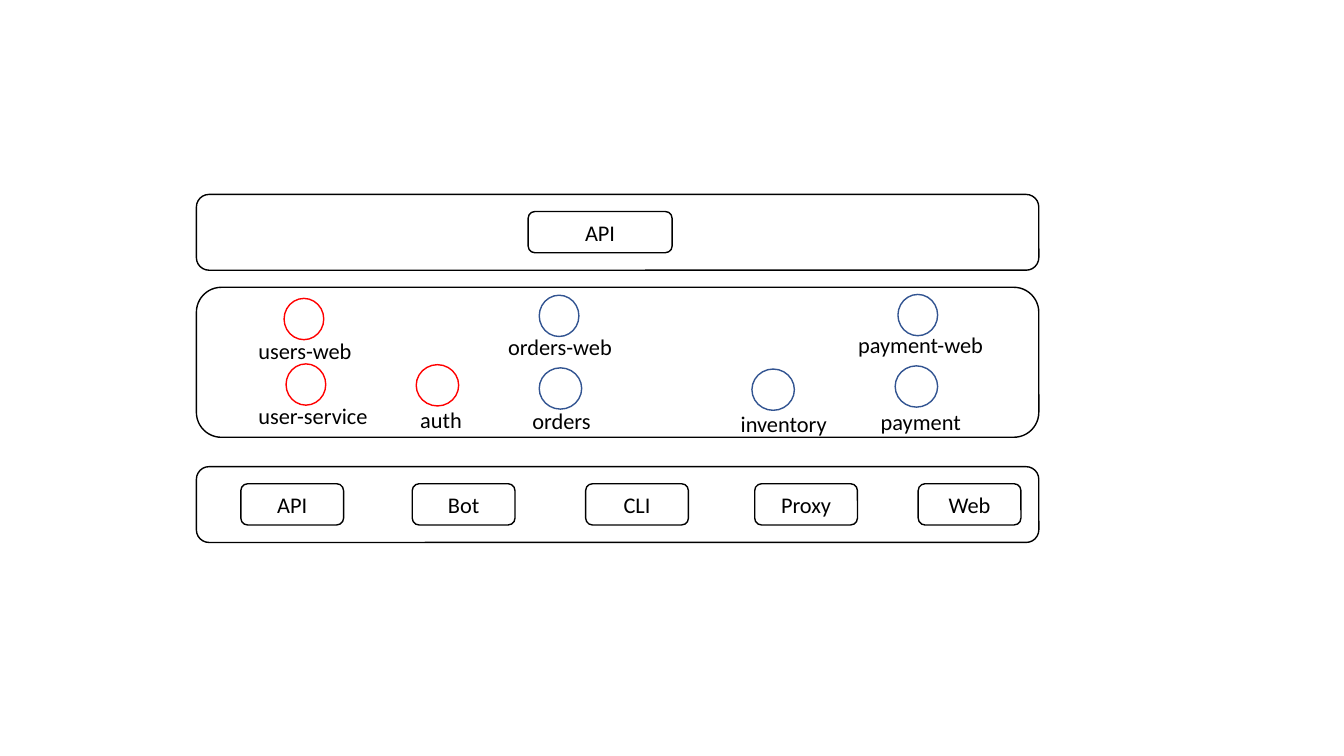
from dataclasses import dataclass

from pptx import Presentation
from pptx.dml.color import RGBColor
from pptx.enum import shapes, text
from pptx.util import Cm, Pt


@dataclass(frozen=True)
class Theme:
    """Colours, font and sizes of the slide."""
    white: RGBColor = RGBColor(0xFF, 0xFF, 0xFF)
    black: RGBColor = RGBColor(0, 0, 0)
    red: RGBColor = RGBColor(0xFF, 0, 0)
    blue: RGBColor = RGBColor(0x32, 0x54, 0x91)
    font: str = "Calibri"
    size: Pt = Pt(16)
    line: Pt = Pt(1)


THEME = Theme()
ROUNDED = shapes.MSO_SHAPE.ROUNDED_RECTANGLE
LAYER_LEFT, LAYER_WIDTH = 4.95, 21.23
BOX_HEIGHT, BOX_INSET = 1.04, 0.43
GATEWAY_TOP, SERVICES_TOP, CLIENTS_TOP = 4.9, 7.24, 11.76
CLIENTS = [("API", 6.07), ("Bot", 10.39), ("CLI", 14.76), ("Proxy", 19.02), ("Web", 23.14)]
WEB_DIAMETER, CORE_DIAMETER = 1.0, 1.07

# Name, colour, circle (left, top, width), label (left, top, width)
SERVICES = [
    ("users-web", THEME.red, (7.16, 7.52, WEB_DIAMETER), (6.07, 8.36, 3.23)),
    ("user-service", THEME.red, (7.21, 9.17, WEB_DIAMETER), (5.87, 10.01, 4.04)),
    ("auth", THEME.red, (10.49, 9.19, CORE_DIAMETER), (10.16, 10.11, 1.91)),
    ("orders-web", THEME.blue, (13.59, 7.44, WEB_DIAMETER), (12.5, 8.28, 3.23)),
    ("orders", THEME.blue, (13.59, 9.27, CORE_DIAMETER), (13.03, 10.13, 2.24)),
    ("inventory", THEME.blue, (18.95, 9.3, CORE_DIAMETER), (18.16, 10.21, 3.18)),
    ("payment-web", THEME.blue, (22.63, 7.42, WEB_DIAMETER), (20.85, 8.23, 4.7)),
    ("payment", THEME.blue, (22.56, 9.22, CORE_DIAMETER), (21.72, 10.16, 2.97)),
]


def write(shape, wording):
    """Put one centred line of text into a shape."""
    paragraph = shape.text_frame.paragraphs[0]
    paragraph.text = wording
    paragraph.alignment = text.PP_ALIGN.CENTER
    paragraph.font.name = THEME.font
    paragraph.font.size = THEME.size
    paragraph.font.color.rgb = THEME.black


def add_outline(slide, kind, left, top, width, height, colour=THEME.black):
    """Draw a white preset shape with a thin coloured outline."""
    shape = slide.shapes.add_shape(kind, Cm(left), Cm(top), Cm(width), Cm(height))
    shape.shadow.inherit = False
    shape.fill.solid()
    shape.fill.fore_color.rgb = THEME.white
    shape.line.color.rgb = colour
    shape.line.width = THEME.line
    return shape


def add_layer(slide, top, height=1.91):
    """Draw the frame of one architecture layer."""
    add_outline(slide, ROUNDED, LAYER_LEFT, top, LAYER_WIDTH, height)


def add_box(slide, wording, left, layer_top, width=2.59):
    """Draw a named box inside a layer."""
    box = add_outline(slide, ROUNDED, left, layer_top + BOX_INSET, width, BOX_HEIGHT)
    box.text_frame.vertical_anchor = text.MSO_ANCHOR.MIDDLE
    write(box, wording)


def add_service(slide, name, colour, circle, label):
    """Draw a service circle with its label."""
    add_outline(slide, shapes.MSO_SHAPE.OVAL, *circle, BOX_HEIGHT, colour)
    left, top, width = label
    caption = slide.shapes.add_textbox(Cm(left), Cm(top), Cm(width), Cm(0.94))
    caption.text_frame.word_wrap = True
    caption.text_frame.auto_size = text.MSO_AUTO_SIZE.SHAPE_TO_FIT_TEXT
    write(caption, name)


def main():
    """Build the layered service diagram and save it."""
    presentation = Presentation()
    presentation.slide_width, presentation.slide_height = Cm(33.87), Cm(19.05)
    slide = presentation.slides.add_slide(presentation.slide_layouts[6])
    add_layer(slide, SERVICES_TOP, 3.78)
    for service in SERVICES:
        add_service(slide, *service)
    add_layer(slide, GATEWAY_TOP)
    add_box(slide, "API", 13.31, GATEWAY_TOP, 3.63)
    add_layer(slide, CLIENTS_TOP)
    for name, left in CLIENTS:
        add_box(slide, name, left, CLIENTS_TOP)
    presentation.save("out.pptx")


if __name__ == "__main__":
    main()
